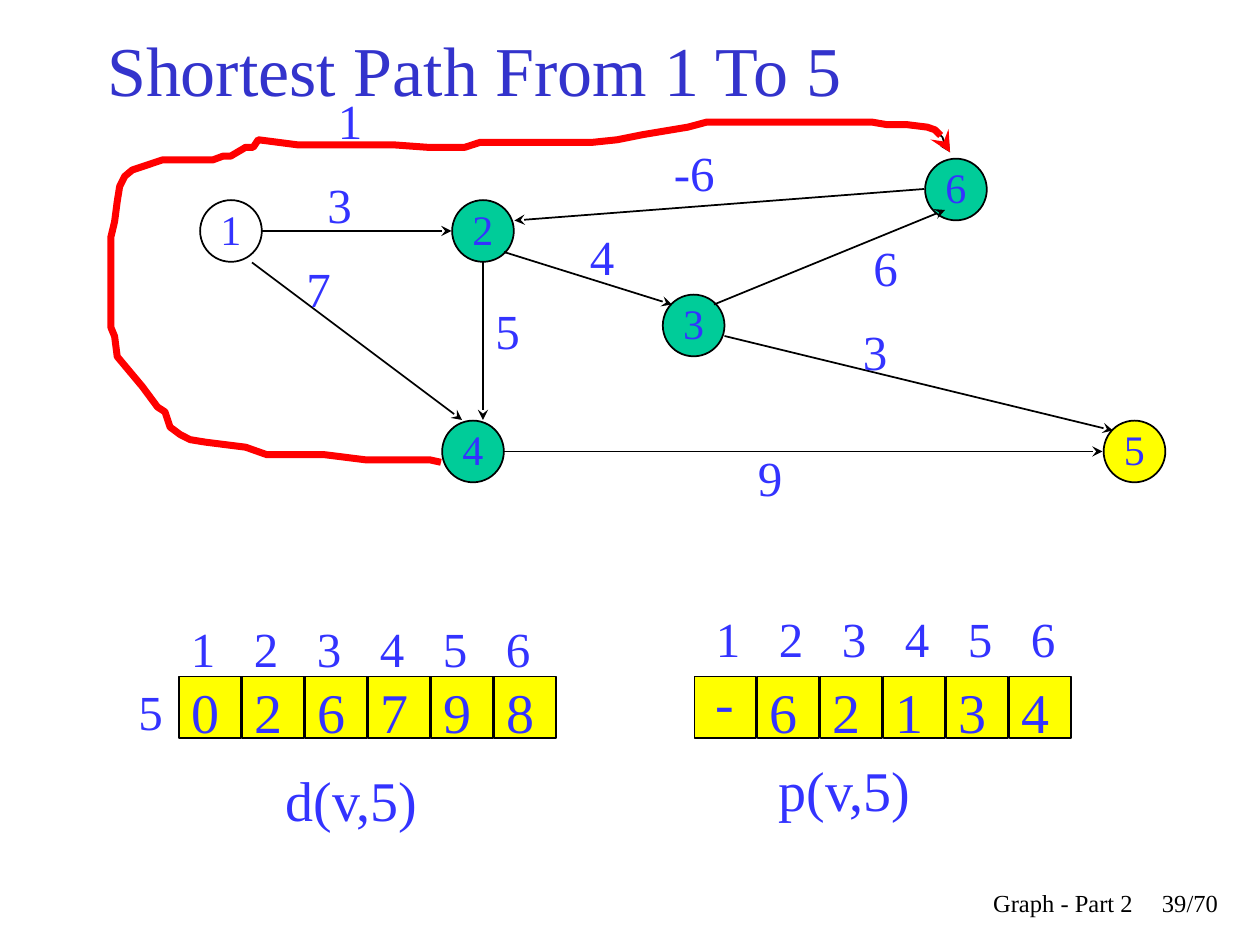
"""Build a slide showing the shortest paths from every node to node 5."""
from typing import NamedTuple

from lxml import etree
from pptx import Presentation
from pptx.dml.color import RGBColor
from pptx.enum.shapes import MSO_CONNECTOR, MSO_SHAPE
from pptx.enum.text import MSO_ANCHOR, MSO_AUTO_SIZE, PP_ALIGN
from pptx.oxml.ns import qn
from pptx.util import Pt

OVAL, RECT = MSO_SHAPE.OVAL, MSO_SHAPE.RECTANGLE
STRAIGHT = MSO_CONNECTOR.STRAIGHT
TOP, MIDDLE = MSO_ANCHOR.TOP, MSO_ANCHOR.MIDDLE
LEFT, CENTER, RIGHT = PP_ALIGN.LEFT, PP_ALIGN.CENTER, PP_ALIGN.RIGHT
NO_FIT = MSO_AUTO_SIZE.NONE
FONT = "Times New Roman"
BLACK, BLUE, GREEN, YELLOW, WHITE, RED = (
    "000000", "3333FF", "00CC99", "FFFF00", "FFFFFF", "FF0000")
SIZE, PITCH, CELL_Y = 35.25, 36, 404.25


class Node(NamedTuple):
    text: str
    x: float
    y: float
    fill: str


class Edge(NamedTuple):
    x1: float
    y1: float
    x2: float
    y2: float


class Label(NamedTuple):
    text: str
    x: float
    y: float
    w: float
    h: float = 41
    size: float = 28
    color: str = BLUE
    align: PP_ALIGN = LEFT


class Array(NamedTuple):
    values: str
    x: float
    head_x: float
    head_y: float


NODES = [
    Node("1", 132, 132, WHITE), Node("2", 276, 132, GREEN),
    Node("3", 396.4, 186, GREEN), Node("4", 270.3, 258, GREEN),
    Node("5", 648.3, 258, YELLOW), Node("6", 546.3, 108.3, GREEN),
]
EDGES = [
    Edge(150, 132, 258, 132), Edge(144, 150, 264, 240),
    Edge(288, 144, 384, 174), Edge(288, 258, 630, 258),
    Edge(414, 192, 636, 246), Edge(528, 108, 294, 126),
    Edge(408, 174, 540, 120), Edge(276, 150, 276, 240),
]
LABELS = [
    Label("3", 180, 96, 30), Label("7", 168, 144, 48), Label("-6", 378, 78, 48),
    Label("3", 486, 180, 48), Label("4", 330, 126, 30), Label("6", 492, 132, 48),
    Label("5", 276, 168, 30), Label("1", 186, 48, 48), Label("9", 426, 252, 30),
    Label("5", 72, 386, 18), Label("-", 402, 378, 24, 45.4, 32),
    Label("d(v,5)", 156, 434, 126, 45.4, 32),
    Label("p(v,5)", 438, 428, 144, 45.4, 32),
    Label("39/70", 654, 504, 49, 36, 14, BLACK, RIGHT),
    Label("Graph - Part 2", 426, 504, 228.5, 36, 14, BLACK, RIGHT),
]
ARRAYS = [Array("026798", 120, 102, 350), Array(" 62134", 414.5, 402, 344)]
LOOP = [
    (252, 264.2), (245.5, 262.8), (208.8, 262.8), (185.8, 259.9),
    (152.6, 259.9), (140.4, 255.6), (117.4, 252.7), (108.7, 251.3),
    (103, 248.4), (97.2, 244.1), (94.3, 235.4), (90, 232.6), (81.4, 221),
    (67, 203.8), (65.5, 192.2), (63.4, 187.2), (63.4, 135.4), (65.5, 126.7),
    (67, 115.2), (68.4, 106.6), (71.3, 100.8), (75.6, 97.2), (92.9, 91.4),
    (121.7, 91.4), (127.4, 89.3), (131.8, 89.3), (140.4, 84.2), (144.7, 84.2),
    (147.6, 79.9), (169.9, 82.8), (224.6, 82.8), (244.1, 84.2), (265.7, 84.2),
    (274.3, 81.4), (338.4, 81.4), (352.8, 79.9), (367.2, 77), (393.1, 72.7),
    (403.9, 69.8), (498.2, 69.8), (506.9, 71.3), (518.4, 71.3), (529.9, 72.7),
    (534.2, 74.2), (538.6, 78.5), (540, 82.8), (542.9, 87.1),
]
BOX = {"margin_left": Pt(7.2), "margin_right": Pt(7.2), "margin_top": Pt(3.6),
       "margin_bottom": Pt(3.6), "word_wrap": True, "vertical_anchor": TOP}
TITLE = {**BOX, "vertical_anchor": MIDDLE, "auto_size": NO_FIT}
NODE = {"margin_left": 0, "margin_right": 0, "margin_top": 0,
        "margin_bottom": Pt(3), "word_wrap": False, "vertical_anchor": MIDDLE}
CELL = {**BOX, "margin_right": 0, "margin_top": Pt(0.7), "margin_bottom": 0}


def rgb(color: str) -> RGBColor:
    return RGBColor.from_string(color)


def apply(obj, values: dict) -> None:
    for name, value in values.items():
        setattr(obj, name, value)


def write(sp, text: str, size: float, color: str, align, frame: dict) -> None:
    tf = sp.text_frame
    apply(tf, frame)
    p = tf.paragraphs[0]
    p.alignment = align
    r = p.add_run()
    r.text = text
    apply(r.font, {"name": FONT, "size": Pt(size)})
    r.font.color.rgb = rgb(color)


def outline(sp, color: str, width: float) -> None:
    sp.line.color.rgb = rgb(color)
    sp.line.width = Pt(width)


def add_arrowhead(sp) -> None:
    ln = sp.element.spPr.find(qn("a:ln"))
    etree.SubElement(ln, qn("a:tailEnd"), type="stealth")


def add_box(s, kind, x: float, y: float, fill: str):
    sp = s.shapes.add_shape(kind, Pt(x - SIZE / 2), Pt(y - SIZE / 2),
                            Pt(SIZE), Pt(SIZE))
    sp.shadow.inherit = False
    sp.fill.solid()
    sp.fill.fore_color.rgb = rgb(fill)
    outline(sp, BLACK, 1)
    return sp


def add_node(s, n: Node) -> None:
    sp = add_box(s, OVAL, n.x, n.y, n.fill)
    write(sp, n.text, 24, BLUE, CENTER, NODE)


def add_edge(s, e: Edge) -> None:
    sp = s.shapes.add_connector(STRAIGHT, *map(Pt, e))
    outline(sp, BLACK, 1)
    add_arrowhead(sp)
    etree.SubElement(sp.element.spPr, qn("a:effectLst"))


def add_label(s, b: Label) -> None:
    sp = s.shapes.add_textbox(Pt(b.x), Pt(b.y), Pt(b.w), Pt(b.h))
    write(sp, b.text, b.size, b.color, b.align, BOX)


def add_array(s, a: Array) -> None:
    for i, value in enumerate(a.values):
        sp = add_box(s, RECT, a.x + i * PITCH, CELL_Y, YELLOW)
        if value.strip():
            write(sp, value, 32, BLUE, LEFT, CELL)
        add_label(s, Label(str(i + 1), a.head_x + i * PITCH, a.head_y, 18))


def add_loop(s, color: str, width: float) -> None:
    points = [(Pt(x), Pt(y)) for x, y in LOOP]
    fb = s.shapes.build_freeform(*points[0])
    fb.add_line_segments(points[1:], close=False)
    sp = fb.convert_to_shape()
    sp.shadow.inherit = False
    sp.fill.background()
    outline(sp, color, width)
    add_arrowhead(sp)


def main() -> None:
    prs = Presentation()
    apply(prs, {"slide_width": Pt(720), "slide_height": Pt(540)})
    s = prs.slides.add_slide(prs.slide_layouts[5])
    title = s.shapes.title
    apply(title, {"left": Pt(54), "top": Pt(0), "width": Pt(612), "height": Pt(78)})
    write(title, "Shortest Path From 1 To 5", 40, "3333CC", LEFT, TITLE)
    for add, items in ((add_node, NODES), (add_edge, EDGES), (add_array, ARRAYS),
                       (add_label, LABELS)):
        for item in items:
            add(s, item)
    add_loop(s, BLACK, 1)
    add_loop(s, RED, 4)
    prs.save("out.pptx")


if __name__ == "__main__":
    main()
